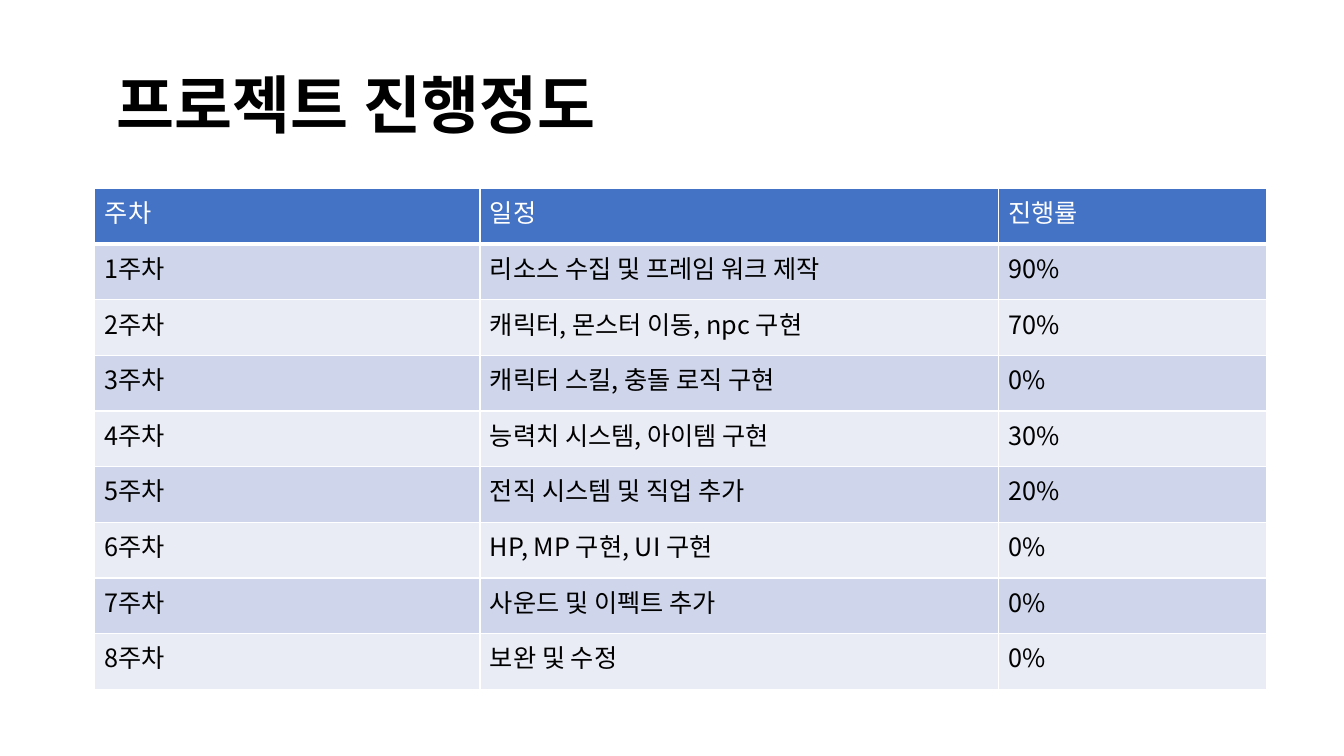
"""Build the slide that reports weekly project progress."""
import dataclasses

import pptx
import pptx.dml.color
import pptx.enum.text
import pptx.oxml.ns
import pptx.util
from lxml import etree

WIDE = pptx.util.Inches(13.33)
HIGH = pptx.util.Inches(7.5)


@dataclasses.dataclass(frozen=True)
class Theme:
    font: str = "Noto Sans CJK KR"
    dark: str = "000000"
    light: str = "FFFFFF"
    head: str = "4472C4"
    bands: tuple[str, str] = ("CFD5EA", "E9EBF5")
    big: float = 45
    small: float = 18
    thin: float = 1
    thick: float = 3


@dataclasses.dataclass(frozen=True)
class Box:
    left: float
    top: float
    width: float
    height: float

    def emu(self) -> tuple[int, int, int, int]:
        return across(self.left), down(self.top), across(self.width), down(self.height)


@dataclasses.dataclass(frozen=True)
class Week:
    plan: str
    done: int


THEME = Theme()
TITLE = Box(-1.13, 5.47, 55.21, 14)
COLS = (28.66, 38.56, 19.95)
ROW = 7.36
HEADS = ("주차", "일정", "진행률")
WEEKS = (
    Week("리소스 수집 및 프레임 워크 제작", 90),
    Week("캐릭터, 몬스터 이동, npc 구현", 70),
    Week("캐릭터 스킬, 충돌 로직 구현", 0),
    Week("능력치 시스템, 아이템 구현", 30),
    Week("전직 시스템 및 직업 추가", 20),
    Week("HP, MP 구현, UI 구현", 0),
    Week("사운드 및 이펙트 추가", 0),
    Week("보완 및 수정", 0),
)


def across(share: float) -> int:
    return round(WIDE * share / 100)


def down(share: float) -> int:
    return round(HIGH * share / 100)


def tint(code: str) -> pptx.dml.color.RGBColor:
    return pptx.dml.color.RGBColor.from_string(code)


def write(frame, text: str, size: float, color: str, bold: bool = False) -> None:
    frame.text = text
    for run in frame.paragraphs[0].runs:
        font = run.font
        font.name = THEME.font
        font.size = pptx.util.Pt(size)
        font.bold = bold
        font.color.rgb = tint(color)
        east = etree.SubElement(run._r.get_or_add_rPr(), pptx.oxml.ns.qn("a:ea"))
        east.set("typeface", THEME.font)


def edge(cell, side: str, size: float) -> None:
    name = pptx.oxml.ns.qn
    line = etree.SubElement(cell._tc.get_or_add_tcPr(), name(f"a:ln{side}"))
    line.set("w", str(pptx.util.Pt(size)))
    fill = etree.SubElement(line, name("a:solidFill"))
    etree.SubElement(fill, name("a:srgbClr")).set("val", THEME.light)


def draw_title(slide) -> None:
    frame = slide.shapes.add_textbox(*TITLE.emu()).text_frame
    frame.word_wrap = True
    frame.vertical_anchor = pptx.enum.text.MSO_ANCHOR.BOTTOM
    write(frame, "프로젝트 진행정도", THEME.big, THEME.dark, True)
    line = frame.paragraphs[0]
    line.alignment = pptx.enum.text.PP_ALIGN.CENTER
    line.line_spacing = 0.9


def draw_table(slide) -> None:
    rows = [HEADS] + [
        (f"{num}주차", week.plan, f"{week.done}%") for num, week in enumerate(WEEKS, 1)
    ]
    area = Box(7.05, 24.93, sum(COLS), ROW * len(rows))
    table = slide.shapes.add_table(len(rows), len(COLS), *area.emu()).table
    table.first_row = False
    table.horz_banding = False
    for col, share in zip(table.columns, COLS):
        col.width = across(share)
    for i, texts in enumerate(rows):
        table.rows[i].height = down(ROW)
        top = i == 0
        for j, text in enumerate(texts):
            cell = table.cell(i, j)
            for side in "LRTB":
                edge(cell, side, THEME.thick if top and side == "B" else THEME.thin)
            cell.fill.solid()
            cell.fill.fore_color.rgb = tint(THEME.head if top else THEME.bands[(i - 1) % 2])
            write(cell.text_frame, text, THEME.small, THEME.light if top else THEME.dark)


def main() -> None:
    deck = pptx.Presentation()
    deck.slide_width = WIDE
    deck.slide_height = HIGH
    slide = deck.slides.add_slide(deck.slide_layouts[6])
    draw_title(slide)
    draw_table(slide)
    deck.save("out.pptx")


if __name__ == "__main__":
    main()
